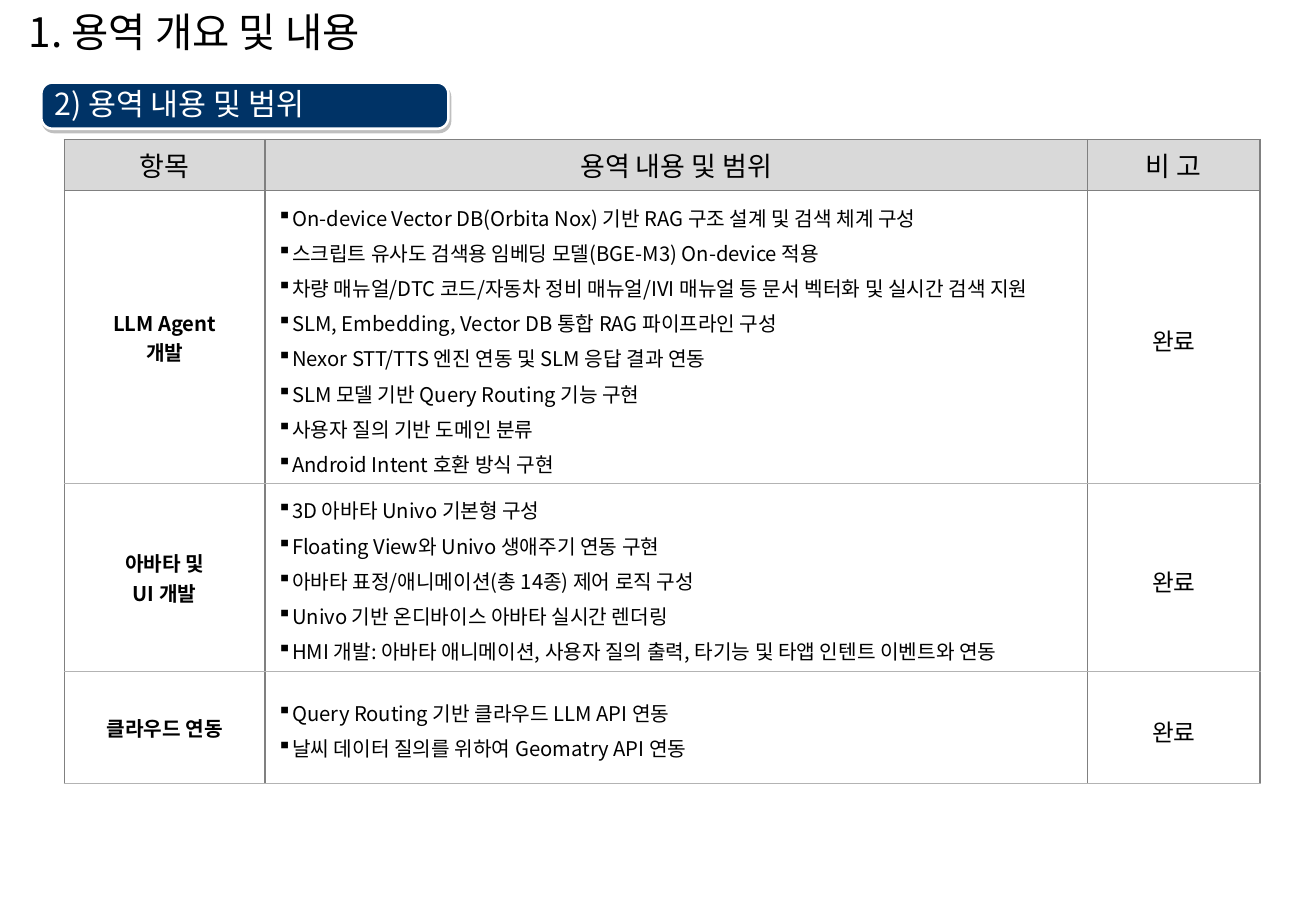
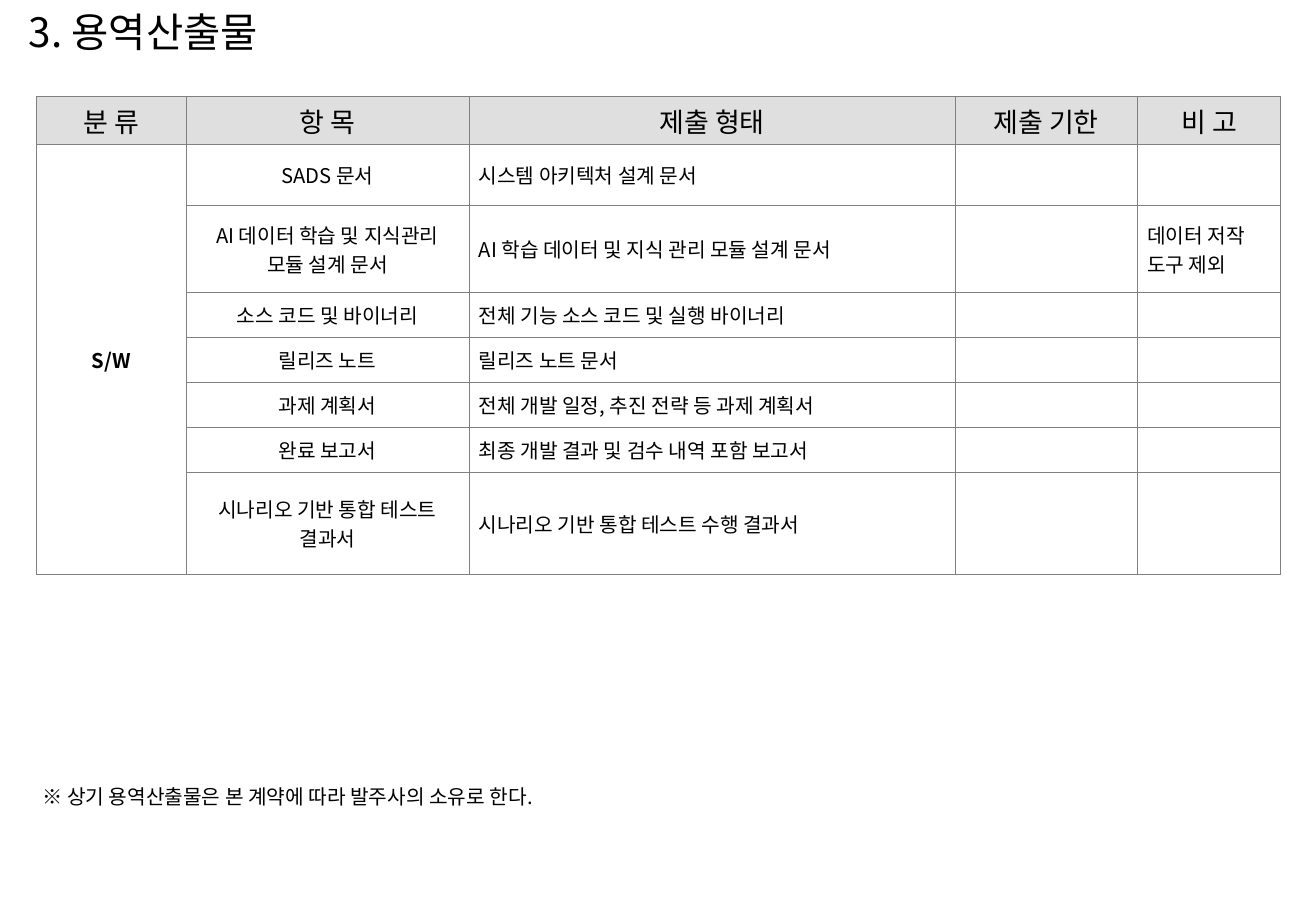
from lxml.etree import SubElement
from pptx import Presentation
from pptx.dml.color import RGBColor as RGB
from pptx.enum.shapes import MSO_SHAPE as Shape
from pptx.enum.text import MSO_ANCHOR as Anchor, PP_ALIGN as Align
from pptx.oxml import parse_xml
from pptx.oxml.ns import nsdecls, qn
from pptx.util import Inches, Pt

FONT = "Noto Sans CJK KR"
INK = {"text": "000000", "white": "FFFFFF", "navy": "003366", "gray": "808080",
       "rule": "B3B3B3", "head": "D9D9D9", "pale": "DFDFDF"}


class Deck:
    def __init__(self):
        self.prs = Presentation()
        self.prs.slide_width, self.prs.slide_height = Inches(10.83), Inches(7.5)

    def page(self, title):
        self.slide = self.prs.slides.add_slide(self.prs.slide_layouts[6])
        frame = self.box((0.14, 0.02, 9.5, 0.47), title, 24, 0.56)
        frame.vertical_anchor = Anchor.MIDDLE

    def para(self, frame, text, size, color="text", bold=False, align=Align.LEFT,
             space=1.0, hang=0, mark=None):
        """Fill the first empty paragraph of the frame, or add one."""
        par = frame.paragraphs[-1]
        if par.runs:
            par = frame.add_paragraph()
        par.alignment, par.line_spacing = align, space
        if hang:
            props = par._p.get_or_add_pPr()
            props.set("marL", str(Inches(hang)))
            props.set("indent", str(-Inches(hang)))
            if mark:
                SubElement(props, qn("a:buChar"), char=mark)
        if not text:
            SubElement(par._p, qn("a:endParaRPr"), sz=str(size * 100))
            return
        run = par.add_run()
        run.text = text
        font = run.font
        font.size, font.bold, font.name = Pt(size), bold, FONT
        font.color.rgb = RGB.from_string(INK[color])
        SubElement(font._element, qn("a:ea"), typeface=FONT)

    def inset(self, item, x, y):
        item.margin_left = item.margin_right = Inches(x)
        item.margin_top = item.margin_bottom = Inches(y)

    def box(self, at, text, size, hang):
        frame = self.slide.shapes.add_textbox(*map(Inches, at)).text_frame
        frame.word_wrap = True
        self.para(frame, text, size, hang=hang)
        return frame

    def pill(self, at, text):
        pill = self.slide.shapes.add_shape(Shape.ROUNDED_RECTANGLE, *map(Inches, at))
        pill.adjustments[0] = 0.24
        pill.fill.solid()
        pill.fill.fore_color.rgb = RGB.from_string(INK["navy"])
        pill.line.color.rgb = RGB.from_string(INK["white"])
        pill.line.width = Pt(1.5)
        pill._element.spPr.append(parse_xml(
            f'<a:effectLst {nsdecls("a")}><a:outerShdw dist="{Pt(2.2)}" dir="3780000">'
            f'<a:srgbClr val="{INK["gray"]}"><a:alpha val="50000"/></a:srgbClr>'
            '</a:outerShdw></a:effectLst>'))
        frame = pill.text_frame
        self.inset(frame, 0, 0)
        frame.margin_left = Inches(0.08)
        frame.vertical_anchor, frame.word_wrap = Anchor.MIDDLE, True
        self.para(frame, text, 18, "white", space=0.9)

    def grid(self, at, cols, rows, pad):
        """Add a plain table and return it with every cell padded and unfilled."""
        table = self.slide.shapes.add_table(
            len(rows), len(cols), *map(Inches, (*at, sum(cols), sum(rows)))).table
        table.first_row = table.horz_banding = False
        for col, wide in zip(table.columns, cols):
            col.width = Inches(wide)
        for row, high in zip(table.rows, rows):
            row.height = Inches(high)
        for cell in table.iter_cells():
            self.inset(cell, *pad)
            cell.vertical_anchor = Anchor.MIDDLE
            cell.fill.background()
        return table

    def edge(self, cell, wide, **colors):
        """Draw the four cell borders, gray unless a side is named."""
        props = cell._tc.get_or_add_tcPr()
        for spot, side in enumerate("LRTB"):
            ink = INK[colors.get(side, "gray")]
            props.insert(spot, parse_xml(
                f'<a:ln{side} {nsdecls("a")} w="{Pt(wide)}"><a:solidFill>'
                f'<a:srgbClr val="{ink}"/></a:solidFill></a:ln{side}>'))

    def heads(self, table, names, fill):
        for cell, name in zip(table.rows[0].cells, names):
            cell.fill.solid()
            cell.fill.fore_color.rgb = RGB.from_string(INK[fill])
            self.para(cell.text_frame, name, 16, align=Align.CENTER)


SCOPE = [
    (["LLM Agent", "개발"], [
        "On-device Vector DB(Orbita Nox) 기반 RAG 구조 설계 및 검색 체계 구성",
        "스크립트 유사도 검색용 임베딩 모델(BGE-M3) On-device 적용",
        "차량 매뉴얼/DTC 코드/자동차 정비 매뉴얼/IVI 매뉴얼 등 문서 벡터화 및 실시간 검색 지원",
        "SLM, Embedding, Vector DB 통합 RAG 파이프라인 구성",
        "Nexor STT/TTS 엔진 연동 및 SLM 응답 결과 연동",
        "SLM 모델 기반 Query Routing 기능 구현",
        "사용자 질의 기반 도메인 분류",
        "Android Intent 호환 방식 구현"]),
    (["아바타 및", "UI 개발"], [
        "3D 아바타 Univo 기본형 구성",
        "Floating View와 Univo 생애주기 연동 구현",
        "아바타 표정/애니메이션(총 14종) 제어 로직 구성",
        "Univo 기반 온디바이스 아바타 실시간 렌더링",
        "HMI 개발: 아바타 애니메이션, 사용자 질의 출력, 타기능 및 타앱 인텐트 이벤트와 연동"]),
    (["클라우드 연동"], [
        "Query Routing 기반 클라우드 LLM API 연동",
        "날씨 데이터 질의를 위하여 Geomatry API 연동"]),
]

GOODS = [
    ("SADS 문서", "시스템 아키텍처 설계 문서", ""),
    ("AI 데이터 학습 및 지식관리 모듈 설계 문서",
     "AI 학습 데이터 및 지식 관리 모듈 설계 문서", "데이터 저작 도구 제외"),
    ("소스 코드 및 바이너리", "전체 기능 소스 코드 및 실행 바이너리", ""),
    ("릴리즈 노트", "릴리즈 노트 문서", ""),
    ("과제 계획서", "전체 개발 일정, 추진 전략 등 과제 계획서", ""),
    ("완료 보고서", "최종 개발 결과 및 검수 내역 포함 보고서", ""),
    ("시나리오 기반 통합 테스트 결과서", "시나리오 기반 통합 테스트 수행 결과서", ""),
]


def scope(deck):
    deck.page("1. 용역 개요 및 내용")
    deck.pill((0.34, 0.68, 3.35, 0.38), "2) 용역 내용 및 범위")
    table = deck.grid((0.53, 1.15), [1.65, 6.77, 1.42], [0.42, 2.41, 1.55, 0.92], (0.1, 0.05))
    deck.heads(table, ["항목", "용역 내용 및 범위", "비 고"], "head")
    for cell in table.rows[0].cells:
        deck.edge(cell, 1)
    for num, (names, items) in enumerate(SCOPE, 1):
        name, body, state = table.rows[num].cells
        for text in names:
            deck.para(name.text_frame, text, 12, bold=True, align=Align.CENTER)
        for text in items:
            deck.para(body.text_frame, text, 12, space=1.2, hang=0.09, mark="▪")
        deck.para(state.text_frame, "완료", 14, align=Align.CENTER, space=1.2)
        for cell in (name, body, state):
            deck.edge(cell, 1, T="gray" if num == 1 else "rule", B="rule")


def goods(deck):
    deck.page("3. 용역산출물")
    rows = [0.4, 0.5, 0.72] + [0.37] * 4 + [0.84]
    table = deck.grid((0.3, 0.79), [1.23, 2.33, 4, 1.5, 1.18], rows, (0.08, 0.04))
    deck.heads(table, ["분 류", "항 목", "제출 형태", "제출 기한", "비 고"], "pale")
    for num, (name, form, note) in enumerate(GOODS, 1):
        kind = "S/W" if num == 1 else ""
        for col, text in enumerate((kind, name, form, "", note)):
            deck.para(table.cell(num, col).text_frame, text, 12, bold=col == 0,
                      align=Align.CENTER if col < 2 else Align.LEFT)
    for cell in table.iter_cells():
        deck.edge(cell, 0.5)
    table.cell(1, 0).merge(table.cell(len(GOODS), 0))
    frame = deck.box((0.31, 6.42, 4.66, 0.28),
                     "※ 상기 용역산출물은 본 계약에 따라 발주사의 소유로 한다.", 12, 0.38)
    deck.inset(frame, 0.04, 0.04)
    frame.word_wrap = False


def main():
    deck = Deck()
    scope(deck)
    goods(deck)
    deck.prs.save("out.pptx")


if __name__ == "__main__":
    main()
